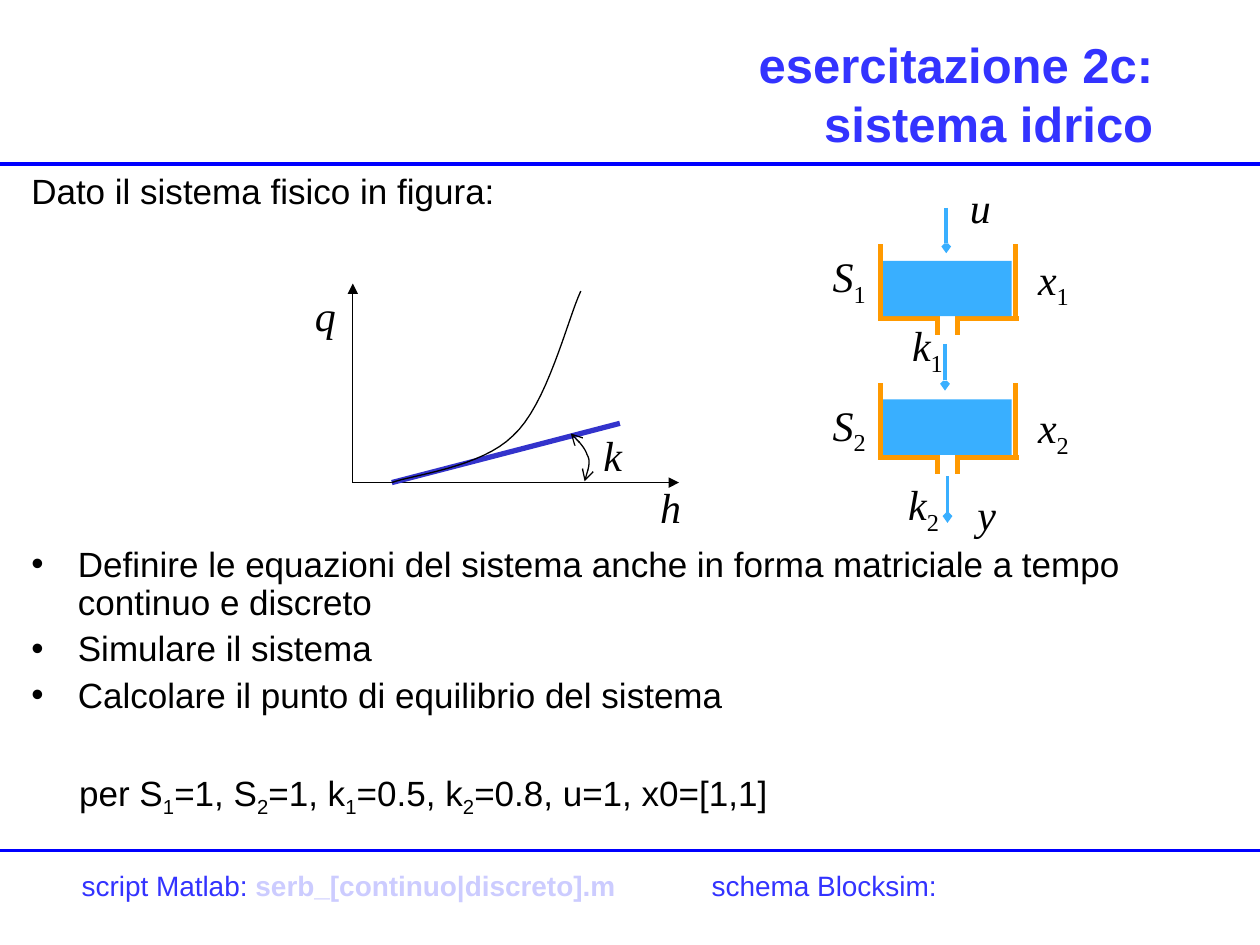
from dataclasses import dataclass

from lxml.etree import SubElement
from pptx import Presentation
from pptx.dml.color import RGBColor as RGB
from pptx.enum.shapes import MSO_CONNECTOR as CONNECTOR, MSO_SHAPE as SHAPE
from pptx.enum.text import MSO_ANCHOR as ANCHOR, MSO_AUTO_SIZE as AUTO_SIZE, PP_ALIGN as ALIGN
from pptx.oxml import parse_xml
from pptx.oxml.ns import nsdecls, qn
from pptx.util import Inches, Pt


@dataclass(frozen=True)
class Theme:
    black: RGB = RGB(0x00, 0x00, 0x00)
    rule: RGB = RGB(0x00, 0x00, 0xFF)
    heading: RGB = RGB(0x33, 0x33, 0xFF)
    pale: RGB = RGB(0xCC, 0xCC, 0xFF)
    tangent: RGB = RGB(0x33, 0x33, 0xCC)
    water: RGB = RGB(0x39, 0xAF, 0xFF)
    wall: RGB = RGB(0xFF, 0x99, 0x00)
    sans: str = "Arial"
    serif: str = "Times New Roman"
    title_size: int = 28
    symbol_size: int = 24
    body_size: int = 20
    footer_size: int = 16


theme = Theme()
deck = Presentation()
deck.slide_width, deck.slide_height = Inches(10), Inches(7.5)
slide = deck.slides.add_slide(deck.slide_layouts[6])


def stroke(outline, color, width, head=None, tail=None, head_size="med"):
    """Style a line or open curve, with optional arrowheads and no shadow."""
    outline.line.color.rgb = color
    outline.line.width = Pt(width)
    properties = outline._element.spPr
    ln = properties.find(qn("a:ln"))
    for tag, kind in (("a:headEnd", head), ("a:tailEnd", tail)):
        if kind:
            SubElement(ln, qn(tag), type=kind, w=head_size, len=head_size)
    SubElement(properties, qn("a:effectLst"))


def add_text(box, texts, font, size, color, wrap=True):
    """Add a text box, one paragraph per text; ~...~ marks a subscript."""
    frame = slide.shapes.add_textbox(*map(Inches, box)).text_frame
    frame.word_wrap = wrap
    for index, text in enumerate(texts):
        paragraph = frame.add_paragraph() if index else frame.paragraphs[0]
        paragraph.font.name = font
        paragraph.font.size = Pt(size)
        paragraph.font.color.rgb = color
        for position, piece in enumerate(text.split("~")):
            if piece:
                run = paragraph.add_run()
                run.text = piece
                if position % 2:
                    run._r.get_or_add_rPr().set("baseline", "-25000")
    return frame


# Exercise text
body = add_text((0.15, 1.33, 9.27, 4.8), [
    "Dato il sistema fisico in figura:",
    "Definire le equazioni del sistema anche in forma matriciale a tempo continuo e discreto",
    "Simulare il sistema",
    "Calcolare il punto di equilibrio del sistema",
    "per S~1~=1, S~2~=1, k~1~=0.5, k~2~=0.8, u=1, x0=[1,1]",
], theme.sans, theme.body_size, theme.black)
intro, *tasks, parameters = body.paragraphs
for paragraph, gap in zip(body.paragraphs, (5, 191, 5, 5, 32)):
    paragraph.line_spacing = 0.9
    paragraph.space_before = Pt(gap)
intro.line_spacing = 0.93
for task in tasks:
    properties = task._p.get_or_add_pPr()
    properties.set("marL", str(Inches(0.37)))
    properties.set("indent", str(Inches(-0.37)))
    for bullet in (f'<a:buFont {nsdecls("a")} typeface="{theme.sans}"/>',
                   f'<a:buChar {nsdecls("a")} char="•"/>'):
        properties.find(qn("a:defRPr")).addprevious(parse_xml(bullet))
parameters._p.get_or_add_pPr().set("marL", str(Inches(0.38)))

# Title
title = add_text((0.75, 0.33, 8.5, 0.83), ["esercitazione 2c:", "sistema idrico"],
                 theme.sans, theme.title_size, theme.heading)
title.vertical_anchor = ANCHOR.MIDDLE
for paragraph in title.paragraphs:
    paragraph.alignment = ALIGN.RIGHT
    paragraph.font.bold = True

# Two identical tanks, one above the other
for top in (1.94, 3.04):
    tank = slide.shapes.add_group_shape().shapes
    floor = top + 0.59
    walls = [
        (6.99, top, 6.99, floor), (8.06, top, 8.06, floor),
        (6.97, floor, 7.44, floor), (7.62, floor, 8.09, floor),
        (7.44, floor - 0.02, 7.44, floor + 0.13), (7.6, floor - 0.02, 7.6, floor + 0.13),
    ]
    for ends in walls:
        wall = tank.add_connector(CONNECTOR.STRAIGHT, *map(Inches, ends))
        stroke(wall, theme.wall, 3)
    water = tank.add_shape(SHAPE.RECTANGLE, *map(Inches, (7.01, top + 0.13, 1.02, 0.44)))
    water.shadow.inherit = False
    water.fill.solid()
    water.fill.fore_color.rgb = theme.water
    water.line.fill.background()

# Page rules, flow arrows, plot axes and tangent
lines = [
    ((0, 1.3, 10, 1.3), theme.rule, 2, None),
    ((0, 6.75, 10, 6.75), theme.rule, 2, None),
    ((7.51, 1.65, 7.51, 2.01), theme.water, 2.25, "arrow"),
    ((7.5, 2.73, 7.5, 3.1), theme.water, 2.25, "arrow"),
    ((7.52, 3.78, 7.52, 4.15), theme.water, 2.25, "arrow"),
    ((2.8, 3.83, 5.39, 3.83), theme.black, 0.75, "triangle"),
    ((2.8, 3.83, 2.8, 2.25), theme.black, 0.75, "triangle"),
    ((3.11, 3.83, 4.92, 3.36), theme.tangent, 3, None),
]
for ends, color, width, tail in lines:
    line = slide.shapes.add_connector(CONNECTOR.STRAIGHT, *map(Inches, ends))
    stroke(line, color, width, tail=tail, head_size="sm" if tail == "arrow" else "med")

# Outflow curve and slope angle, each two Bezier segments sampled evenly
flow_curve = [(3.11, 3.83), (3.27, 3.77), (3.82, 3.71), (4.07, 3.46),
              (4.34, 3.22), (4.5, 2.55), (4.61, 2.31)]
angle_arc = [(4.53, 3.44), (4.55, 3.46), (4.64, 3.54), (4.66, 3.61),
             (4.7, 3.67), (4.65, 3.77), (4.64, 3.82)]
STEPS = 16
for controls, arrowhead in ((flow_curve, None), (angle_arc, "arrow")):
    points = [tuple(map(Inches, controls[0]))]
    for start in (0, 3):
        segment = controls[start:start + 4]
        for step in range(1, STEPS + 1):
            t = step / STEPS
            weights = ((1 - t) ** 3, 3 * t * (1 - t) ** 2, 3 * t ** 2 * (1 - t), t ** 3)
            points.append(tuple(Inches(sum(w * p[axis] for w, p in zip(weights, segment)))
                                for axis in (0, 1)))
    builder = slide.shapes.build_freeform(*points[0])
    builder.add_line_segments(points[1:], close=False)
    curve = builder.convert_to_shape()
    curve.fill.background()
    stroke(curve, theme.black, 0.75, arrowhead, arrowhead)

# Symbols
symbols = [
    ("u", 7.6, 1.39), ("y", 7.66, 3.83),
    ("S~1~", 6.51, 1.94), ("S~2~", 6.51, 3.12),
    ("x~1~", 8.14, 1.96), ("x~2~", 8.14, 3.14),
    ("k~1~", 7.14, 2.49), ("k~2~", 7.11, 3.75),
    ("q", 2.4, 2.25), ("h", 5.14, 3.77), ("k", 4.69, 3.36),
]
for symbol, left, top in symbols:
    width, height = (0.47, 0.56) if "~" in symbol else (0.36, 0.5)
    label = add_text((left, top, width, height), [symbol],
                     theme.serif, theme.symbol_size, theme.black, wrap=False)
    label.auto_size = AUTO_SIZE.SHAPE_TO_FIT_TEXT
    label.paragraphs[0].runs[0].font.italic = True

# Footer
footer = add_text((0.55, 6.87, 8.96, 0.35), ["script Matlab: "],
                  theme.sans, theme.footer_size, theme.heading).paragraphs[0]
footer.line_spacing = 0.93
footer.space_before = Pt(4)
tab_stops = parse_xml(f'<a:tabLst {nsdecls("a")}><a:tab pos="{Inches(5)}" algn="l"/></a:tabLst>')
footer._p.get_or_add_pPr().find(qn("a:defRPr")).addprevious(tab_stops)
script_name = footer.add_run()
script_name.text = "serb_[continuo|discreto].m\t"
script_name.font.bold = True
script_name.font.color.rgb = theme.pale
footer.add_run().text = "schema Blocksim:"

deck.save("out.pptx")
